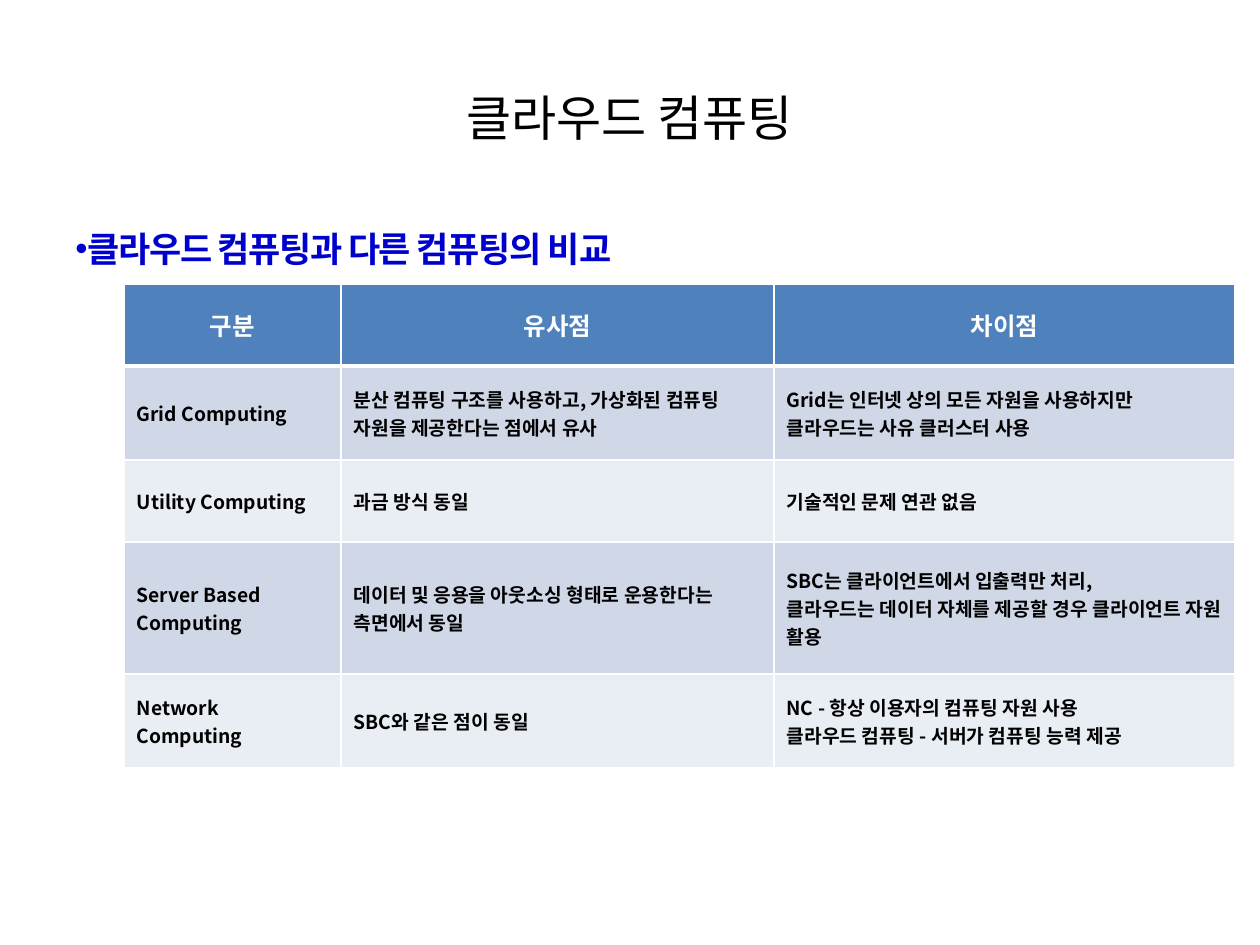
from typing import NamedTuple

from lxml import etree
from pptx import Presentation
from pptx.dml.color import RGBColor
from pptx.enum.text import MSO_ANCHOR, PP_ALIGN
from pptx.oxml.ns import qn
from pptx.util import Emu, Pt

MIDDLE, TOP = MSO_ANCHOR.MIDDLE, MSO_ANCHOR.TOP
LEFT, CENTER = PP_ALIGN.LEFT, PP_ALIGN.CENTER
SCALE = 914400 / 126
FONT = "Noto Sans CJK KR"
COLORS = {
    "black": "000000",
    "white": "FFFFFF",
    "blue": "0000CC",
    "head": "4F81BD",
    "dark": "D0D8E8",
    "light": "E9EDF4",
}


class Style(NamedTuple):
    size: int
    color: str
    bold: bool = True


class Box(NamedTuple):
    left: int
    top: int
    width: int
    height: int


class Row(NamedTuple):
    height: int
    cells: tuple[str, str, str]


TITLE = Style(28, "black", False)
TOPIC = Style(20, "blue")
HEAD = Style(14, "white")
BODY = Style(11, "black")

COLS = (217, 433, 461)
ROWS = (
    Row(82, ("구분", "유사점", "차이점")),
    Row(94, ("Grid Computing",
             "분산 컴퓨팅 구조를 사용하고, 가상화된 컴퓨팅 자원을 제공한다는 점에서 유사",
             "Grid는 인터넷 상의 모든 자원을 사용하지만 \n클라우드는 사유 클러스터 사용")),
    Row(82, ("Utility Computing", "과금 방식 동일", "기술적인 문제 연관 없음")),
    Row(132, ("Server Based Computing",
              "데이터 및 응용을 아웃소싱 형태로 운용한다는 측면에서 동일",
              "SBC는 클라이언트에서 입출력만 처리, \n"
              "클라우드는 데이터 자체를 제공할 경우 클라이언트 자원 활용")),
    Row(94, ("Network Computing", "SBC와 같은 점이 동일",
             "NC - 항상 이용자의 컴퓨팅 자원 사용\n클라우드 컴퓨팅 - 서버가 컴퓨팅 능력 제공")),
)


def px(count: int) -> Emu:
    return Emu(round(count * SCALE))


def add_run(para, text: str, style: Style, gap: int = 0) -> None:
    """Add a run; gap is letter spacing in hundredths of a point."""
    run = para.add_run()
    run.text = text
    font = run.font
    font.name, font.size, font.bold = FONT, Pt(style.size), style.bold
    font.color.rgb = RGBColor.from_string(COLORS[style.color])
    props = run._r.get_or_add_rPr()
    etree.SubElement(props, qn("a:ea"), typeface=FONT)
    if gap:
        props.set("spc", str(gap))


def add_box(slide, box: Box, anchor, align):
    """Add a wrapping text box and return its first paragraph."""
    frame = slide.shapes.add_textbox(*map(px, box)).text_frame
    frame.word_wrap = True
    frame.vertical_anchor = anchor
    para = frame.paragraphs[0]
    para.alignment = align
    return para


def add_bullet(para) -> None:
    props = para._p.get_or_add_pPr()
    props.set("marL", str(px(1)))
    props.set("indent", str(px(-48)))
    etree.SubElement(props, qn("a:buFont"), typeface="Arial")
    etree.SubElement(props, qn("a:buChar"), char="•")


def add_edge(cell, side: str, width: int) -> None:
    line = etree.SubElement(cell._tc.get_or_add_tcPr(), qn(f"a:ln{side}"),
                            w=str(Pt(width)))
    fill = etree.SubElement(line, qn("a:solidFill"))
    etree.SubElement(fill, qn("a:srgbClr"), val=COLORS["white"])


def fill_cell(cell, text: str, row: int) -> None:
    thick = {(0, "B"), (1, "T")}
    for side in "LRTB":
        add_edge(cell, side, 3 if (row, side) in thick else 1)
    shade = "head" if row == 0 else "dark" if row % 2 else "light"
    cell.fill.solid()
    cell.fill.fore_color.rgb = RGBColor.from_string(COLORS[shade])
    cell.vertical_anchor = MIDDLE
    para = cell.text_frame.paragraphs[0]
    para.alignment = LEFT if row else CENTER
    for i, part in enumerate(text.split("\n")):
        if i:
            para.add_line_break()
        add_run(para, part, BODY if row else HEAD)


def add_grid(slide, left: int, top: int) -> None:
    box = Box(left, top, sum(COLS), sum(row.height for row in ROWS))
    table = slide.shapes.add_table(len(ROWS), len(COLS), *map(px, box)).table
    for col, width in zip(table.columns, COLS):
        col.width = px(width)
    for r, row in enumerate(ROWS):
        table.rows[r].height = px(row.height)
        for c, text in enumerate(row.cells):
            fill_cell(table.cell(r, c), text, r)


def main() -> None:
    deck = Presentation()
    deck.slide_width, deck.slide_height = px(1260), px(945)
    slide = deck.slides.add_slide(deck.slide_layouts[6])

    title = add_box(slide, Box(63, 38, 1134, 158), MIDDLE, CENTER)
    add_run(title, "클라우드 컴퓨팅", TITLE)

    topic = add_box(slide, Box(63, 221, 1134, 60), TOP, LEFT)
    add_bullet(topic)
    add_run(topic, "클라우드 컴퓨팅과 다른 컴퓨팅의 ", TOPIC, -80)
    add_run(topic, "비교", TOPIC, -20)

    add_grid(slide, 124, 284)
    deck.save("out.pptx")


if __name__ == "__main__":
    main()
